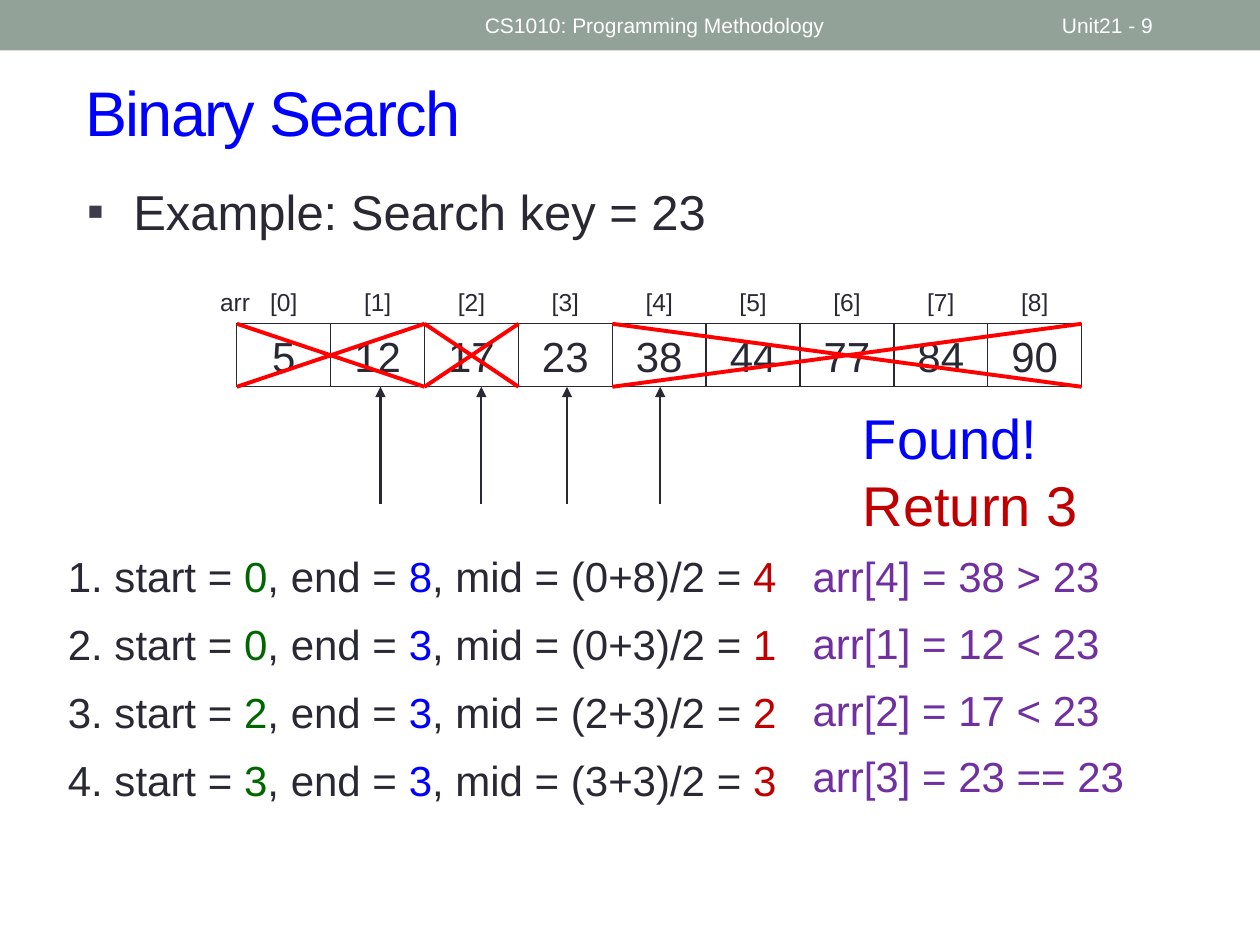
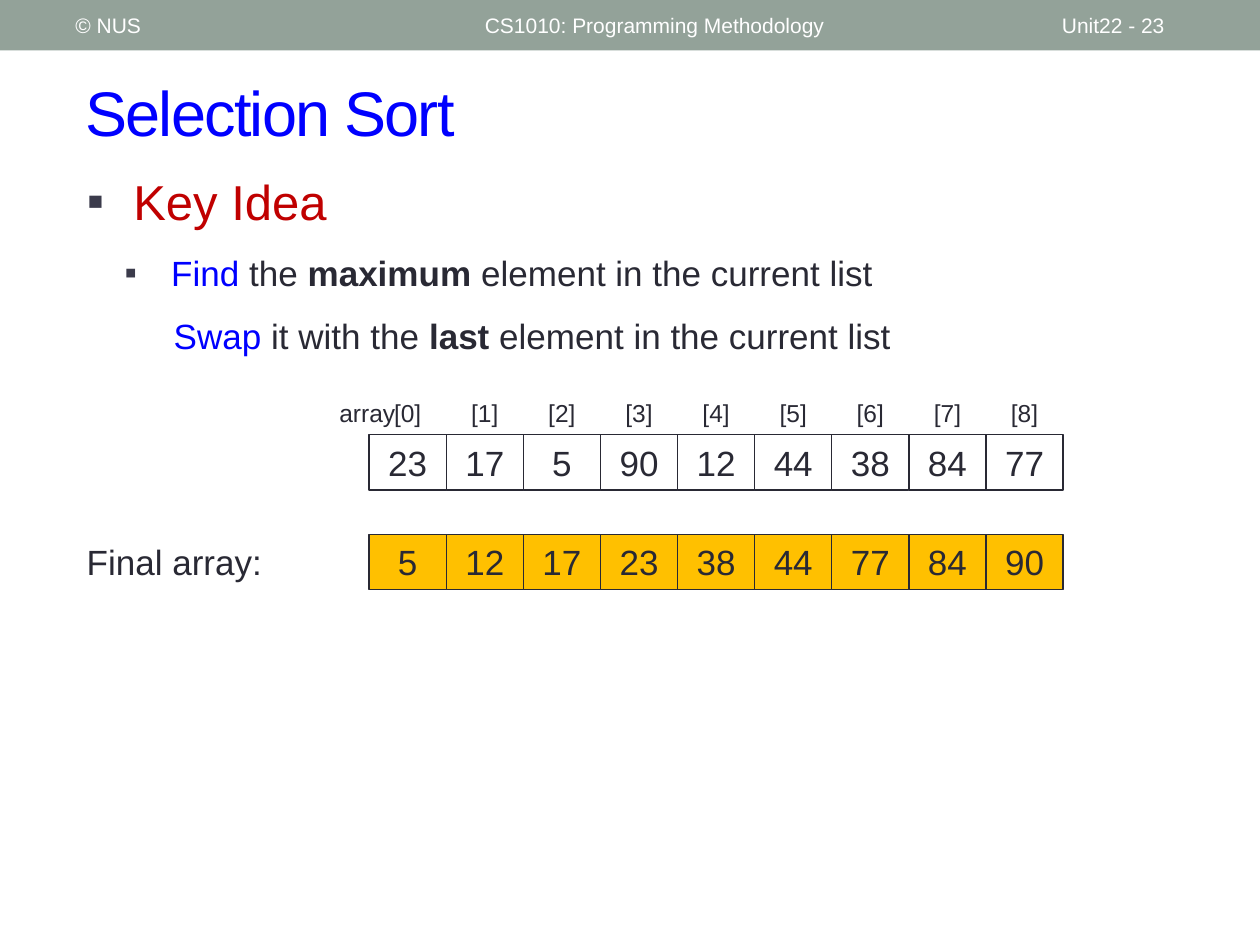
from lxml.etree import SubElement
from pptx import Presentation
from pptx.dml.color import RGBColor
from pptx.enum.shapes import MSO_CONNECTOR, MSO_SHAPE
from pptx.enum.text import MSO_ANCHOR, PP_ALIGN
from pptx.oxml.ns import qn
from pptx.util import Inches, Pt

FONT = "Arial"
INK = RGBColor(0x29, 0x29, 0x34)
BAND = RGBColor(0x93, 0xA2, 0x99)
WHITE = RGBColor(0xFF, 0xFF, 0xFF)
BLUE = RGBColor(0x00, 0x00, 0xFF)
GREEN = RGBColor(0x00, 0x66, 0x00)
DARK_RED = RGBColor(0xC0, 0x00, 0x00)
RED = RGBColor(0xFF, 0x00, 0x00)
PURPLE = RGBColor(0x70, 0x30, 0xA0)
GOLD = RGBColor(0xFF, 0xC0, 0x00)
BULLET = "3B3B4B"
LABEL_H = 0.34
SEARCH_LEFT, SEARCH_TOP, SEARCH_COL, SEARCH_ROW = 1.88, 2.57, 0.745, 0.5
SORT_LEFT, SORT_COL, SORT_ROW = 2.93, 0.612, 0.44
SORT_TOP, FINAL_TOP = 3.45, 4.24


def write(s, box, runs, size, align=PP_ALIGN.LEFT, anchor=MSO_ANCHOR.TOP, sp=None):
    """Put one paragraph of (text, colour[, bold]) runs in sp, or in a new text box."""
    sp = sp or s.shapes.add_textbox(*[Inches(v) for v in box])
    tf = sp.text_frame
    tf.word_wrap = True
    tf.vertical_anchor = anchor
    p = tf.add_paragraph() if tf.text else tf.paragraphs[0]
    p.alignment = align
    for text, color, *bold in runs:
        r = p.add_run()
        r.text = text
        r.font.name, r.font.size, r.font.color.rgb = FONT, Pt(size), color
        r.font.bold = bool(bold)
    return sp, p


def line(s, x1, y1, x2, y2, color, width):
    c = s.shapes.add_connector(MSO_CONNECTOR.STRAIGHT, *[Inches(v) for v in (x1, y1, x2, y2)])
    c.line.color.rgb = color
    c.line.width = Pt(width)
    SubElement(c._element.spPr, qn("a:effectLst"))
    return c


prs = Presentation()
prs.slide_width, prs.slide_height = Inches(10), Inches(7.5)

# Band, header texts and title
slides = []
for title, unit, owner in [("Binary Search", "Unit21 - 9", None),
                           ("Selection Sort", "Unit22 - 23", "© NUS")]:
    s = prs.slides.add_slide(prs.slide_layouts[6])
    slides.append(s)
    band = s.shapes.add_shape(MSO_SHAPE.RECTANGLE, 0, 0, prs.slide_width, Inches(0.4))
    band.shadow.inherit = False
    band.fill.solid()
    band.fill.fore_color.rgb = BAND
    band.line.fill.background()
    for left, width, text in [(0.5, 3.17, owner), (3.75, 4.5, "CS1010: Programming Methodology"),
                              (8.33, 1.17, unit)]:
        if text:
            write(s, (left, 0.02, width, 0.36), [(text, WHITE)], 12, anchor=MSO_ANCHOR.MIDDLE)
    sp, p = write(s, (0.58, 0.42, 9.17, 0.92), [(title, BLUE)], 36, anchor=MSO_ANCHOR.MIDDLE)
    p.runs[0].font._element.set("spc", "-100")
search, sort = slides

# Bulleted body text: top, then (left margin, bulleted, size, runs) per paragraph
bodies = [
    (search, 1.39, 0.59, [(0.37, True, 28, [("Example: Search key = 23", INK)])]),
    (sort, 1.31, 1.7, [
        (0.37, True, 28, [("Key Idea", DARK_RED)]),
        (0.67, True, 20, [("Find", BLUE), (" the ", INK), ("maximum ", INK, True),
                          ("element in the current list", INK)]),
        (0.69, False, 20, [("Swap ", BLUE), ("it with the ", INK), ("last", INK, True),
                           (" element in the current list", INK)])]),
]
for s, top, height, paragraphs in bodies:
    sp = None
    for margin, bulleted, size, runs in paragraphs:
        first = sp is None
        sp, p = write(s, (0.59, top, 9.11, height), runs, size, sp=sp)
        pPr = p._p.get_or_add_pPr()
        pPr.set("marL", str(Inches(margin)))
        pPr.set("indent", str(Inches(-0.37 if bulleted else 0)))
        if bulleted:
            SubElement(SubElement(pPr, qn("a:buClr")), qn("a:srgbClr"), val=BULLET)
            SubElement(pPr, qn("a:buFont"), typeface=FONT)
            SubElement(pPr, qn("a:buChar"), char="▪")
        if not first:
            p.space_before = Pt(12)

# Arrays: a row of cells, with index labels above the named ones
arr = [5, 12, 17, 23, 38, 44, 77, 84, 90]
unsorted = [23, 17, 5, 90, 12, 44, 38, 84, 77]
for s, name, values, left, top, col, row, size, fill in [
        (search, "arr", arr, SEARCH_LEFT, SEARCH_TOP, SEARCH_COL, SEARCH_ROW, 24, None),
        (sort, "array", unsorted, SORT_LEFT, SORT_TOP, SORT_COL, SORT_ROW, 20, None),
        (sort, None, sorted(unsorted), SORT_LEFT, FINAL_TOP, SORT_COL, SORT_ROW, 20, GOLD)]:
    for i, value in enumerate(values):
        x = left + i * col
        cell = s.shapes.add_shape(MSO_SHAPE.RECTANGLE, *[Inches(v) for v in (x, top, col, row)])
        cell.shadow.inherit = False
        if fill:
            cell.fill.solid()
            cell.fill.fore_color.rgb = fill
        else:
            cell.fill.background()
        cell.line.color.rgb = INK
        cell.line.width = Pt(0.75)
        write(s, None, [(str(value), INK)], size, PP_ALIGN.CENTER, MSO_ANCHOR.MIDDLE, cell)
        if name:
            write(s, (x, top - LABEL_H, col, LABEL_H), [(f"[{i}]", INK)], 14, PP_ALIGN.CENTER)
    if name:
        write(s, (left - 0.39, top - LABEL_H, 0.75, LABEL_H), [(name, INK)], 14, PP_ALIGN.CENTER)

write(sort, (0.59, FINAL_TOP, 1.76, SORT_ROW), [("Final array:", INK)], 20)

# Search steps: start, end, comparison sign, arrow position, discarded cells
cells_bottom = SEARCH_TOP + SEARCH_ROW
steps = [(0, 8, ">", 5.24, (4, 9)), (0, 3, "<", 3.02, (0, 2)),
         (2, 3, "<", 3.82, (2, 3)), (3, 3, "==", 4.5, None)]
for n, (start, end, sign, arrow_x, discarded) in enumerate(steps):
    mid = (start + end) // 2
    write(search, (0.44, 4.32 + n * 0.54, 5.91, 0.5),
          [(f"{n + 1}. start = ", INK), (str(start), GREEN), (", end = ", INK), (str(end), BLUE),
           (f", mid = ({start}+{end})/2 = ", INK), (str(mid), DARK_RED)], 24)
    write(search, (6.35, 4.32 + n * 0.53, 2.79, 0.5),
          [(f"arr[{mid}] = {arr[mid]} {sign} 23", PURPLE)], 24)
    arrow = line(search, arrow_x, 4, arrow_x, cells_bottom, INK, 1.25)
    SubElement(arrow.line._get_or_add_ln(), qn("a:tailEnd"), type="triangle")
    if discarded:
        x1, x2 = [SEARCH_LEFT + i * SEARCH_COL for i in discarded]
        line(search, x1, SEARCH_TOP, x2, cells_bottom, RED, 2.25)
        line(search, x1, cells_bottom, x2, SEARCH_TOP, RED, 2.25)

sp, p = write(search, (6.75, 3.15, 2.18, 1.18), [("Found!", BLUE)], 32)
write(search, None, [("Return 3", DARK_RED)], 32, sp=sp)

prs.save("out.pptx")
